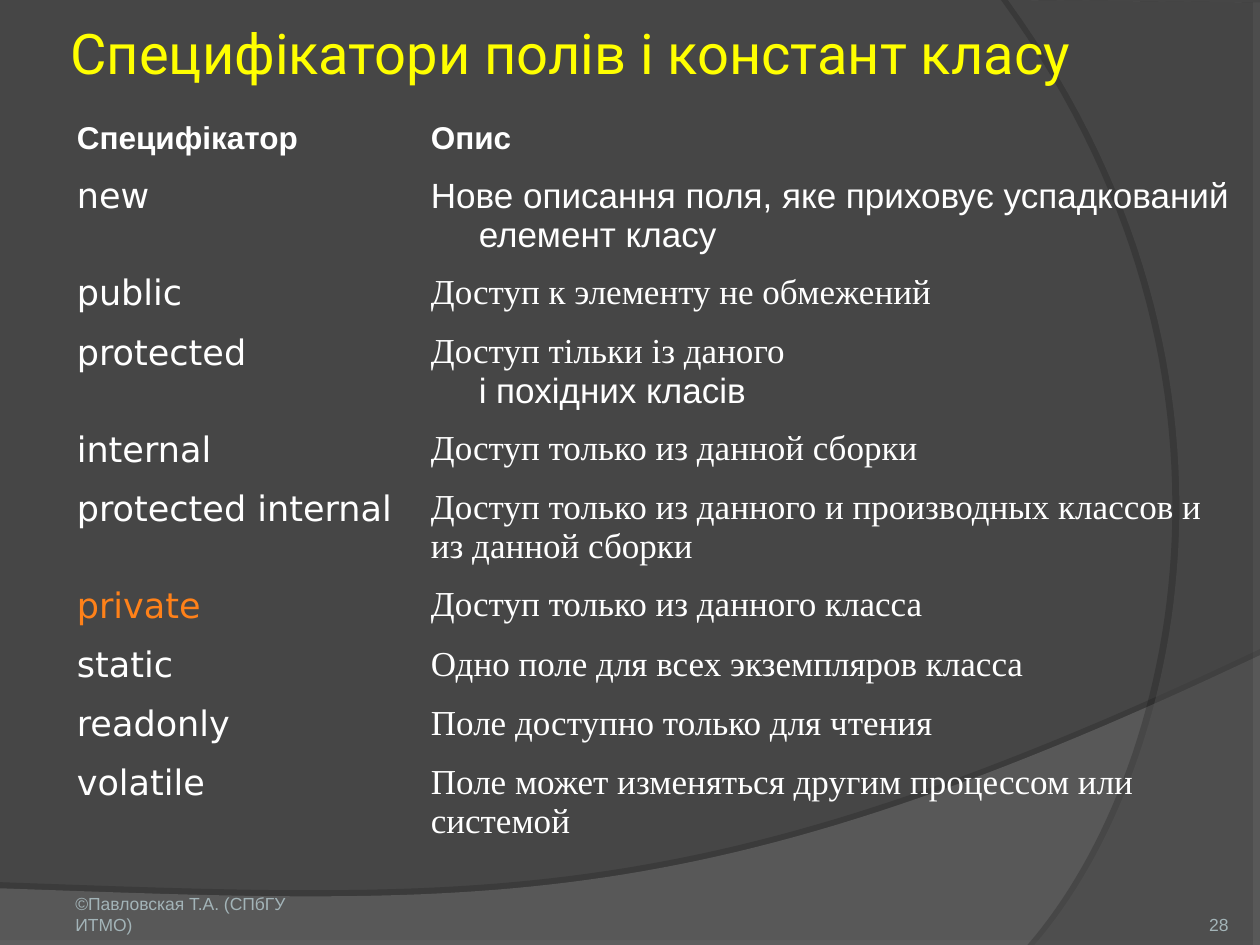
from lxml.etree import SubElement
from pptx import Presentation
from pptx.dml.color import RGBColor
from pptx.enum.text import MSO_ANCHOR as Anchor, PP_ALIGN as Align
from pptx.oxml.ns import qn
from pptx.util import Inches, Pt

NO_GRID_STYLE = "{2D5ABB26-0587-4C30-8999-92F81FD0307C}"
SANS, MONO, SERIF = "Arial", "DejaVu Sans", "Times New Roman"
WHITE, ORANGE, GRAY = "FFFFFF", "FF8119", "A3B4B8"
HANGING = 0.38
COLUMN_WIDTHS = [2.81, 6.55]
SINGLE_ROW, DOUBLE_ROW = 0.47, 0.77

ROWS = [
    ("new", [("Нове описання поля, яке приховує успадкований елемент класу", SANS)], DOUBLE_ROW, HANGING),
    ("public", [("Доступ к элементу не обмежений", SERIF)], SINGLE_ROW, HANGING),
    ("protected", [("Доступ тільки із даного ", SERIF), ("і похідних класів", SANS)], DOUBLE_ROW, HANGING),
    ("internal", [("Доступ только из данной сборки", SERIF)], SINGLE_ROW, HANGING),
    ("protected internal", [("Доступ только из данного и производных классов и из данной сборки", SERIF)],
     DOUBLE_ROW, 0),
    ("private", [("Доступ только из данного класса", SERIF)], SINGLE_ROW, HANGING),
    ("static", [("Одно поле для всех экземпляров класса", SERIF)], SINGLE_ROW, HANGING),
    ("readonly", [("Поле доступно только для чтения", SERIF)], SINGLE_ROW, HANGING),
    ("volatile", [("Поле может изменяться другим процессом или системой", SERIF)], DOUBLE_ROW, 0),
]


def color(value):
    return RGBColor.from_string(value)


def style_font(font, size, name, fill, bold=False):
    font.size, font.name, font.bold = Pt(size), name, bold
    font.color.rgb = color(fill)


def curve(start, control_1, control_2, end, steps=60):
    points = []
    for step in range(steps + 1):
        t = step / steps
        weights = ((1 - t) ** 3, 3 * t * (1 - t) ** 2, 3 * t ** 2 * (1 - t), t ** 3)
        pairs = zip(start, control_1, control_2, end)
        points.append(tuple(sum(w * p for w, p in zip(weights, axis)) for axis in pairs))
    return points


def add_alpha(color_element, percent):
    SubElement(color_element, qn("a:alpha"), val=str(percent * 1000))


def add_swoosh(slide, points, fill, opacity, shadow_opacity, distance, direction):
    start, *rest = [(Inches(x), Inches(y)) for x, y in points]
    builder = slide.shapes.build_freeform(*start)
    builder.add_line_segments(rest, close=True)
    shape = builder.convert_to_shape()
    shape.line.fill.background()
    shape.fill.solid()
    shape.fill.fore_color.rgb = color(fill)
    properties = shape._element.spPr
    add_alpha(properties.find(qn("a:solidFill"))[0], opacity)
    shape.shadow.inherit = False
    shadow = SubElement(properties.find(qn("a:effectLst")), qn("a:outerShdw"), blurRad="0",
                        dist=str(Pt(distance)), dir=str(direction * 60000), rotWithShape="0")
    add_alpha(SubElement(shadow, qn("a:srgbClr"), val="000000"), shadow_opacity)


def add_text(slide, text, box, insets, anchor, size, name, fill, align=Align.LEFT):
    frame = slide.shapes.add_textbox(*map(Inches, box)).text_frame
    frame.word_wrap = True
    frame.vertical_anchor = anchor
    frame.margin_left, frame.margin_top, frame.margin_right, frame.margin_bottom = map(Inches, insets)
    paragraph = frame.paragraphs[0]
    paragraph.text = text
    paragraph.alignment = align
    style_font(paragraph.font, size, name, fill)


def fill_cell(cell, lines, size, fill=WHITE, bold=False, hanging=HANGING):
    cell.fill.background()
    paragraph = cell.text_frame.paragraphs[0]
    properties = paragraph._p.get_or_add_pPr()
    properties.set("marL", str(Inches(hanging)))
    properties.set("indent", str(-Inches(hanging)))
    for index, (text, name) in enumerate(lines):
        if index:
            paragraph.add_line_break()
        run = paragraph.add_run()
        run.text = text
        style_font(run.font, size, name, fill, bold)
    style_font(paragraph.font, size, lines[-1][1], fill, bold)


def add_specifier_table(slide):
    heights = [0.44] + [row[2] for row in ROWS]
    table = slide.shapes.add_table(len(heights), 2, Inches(0.51), Inches(0.91),
                                   Inches(sum(COLUMN_WIDTHS)), Inches(sum(heights))).table
    table.first_row = table.horz_banding = False
    table._tbl.tblPr.find(qn("a:tableStyleId")).text = NO_GRID_STYLE
    for column, width in zip(table.columns, COLUMN_WIDTHS):
        column.width = Inches(width)
    for row, height in zip(table.rows, heights):
        row.height = Inches(height)
    for column, heading in enumerate(["Специфікатор", "Опис"]):
        fill_cell(table.cell(0, column), [(heading, SANS)], 18, bold=True)
    for index, (specifier, description, _, hanging) in enumerate(ROWS, 1):
        fill = ORANGE if specifier == "private" else WHITE
        fill_cell(table.cell(index, 0), [(specifier, MONO)], 20, fill)
        fill_cell(table.cell(index, 1), description, 20, hanging=hanging)


def main():
    presentation = Presentation()
    presentation.slide_width, presentation.slide_height = Inches(10), Inches(7.5)
    slide = presentation.slides.add_slide(presentation.slide_layouts[6])
    slide.background.fill.solid()
    slide.background.fill.fore_color.rgb = color("464646")

    bottom_edge = curve((10, 5.2), (5.59, 7.29), (3.91, 7.19), (0, 7.05))
    add_swoosh(slide, [(0, 7.51), (10, 7.51)] + bottom_edge, "7C7C7C", 45, 35, 3.5, 270)
    right_edge = curve((8.21, 7.5), (9.35, 6.19), (10.18, 3), (8, 0))
    add_swoosh(slide, [(10, 0.02), (10, 7.5)] + right_edge, "595959", 40, 45, 4, 180)

    add_text(slide, "©Павловская Т.А. (СПбГУ ИТМО)", (0.5, 7.02, 2.33, 0.4), (0.1, 0.05, 0.1, 0),
             Anchor.BOTTOM, 10, SANS, GRAY)
    add_text(slide, "28", (8.92, 7.02, 0.83, 0.4), (0, 0, 0, 0), Anchor.BOTTOM, 10, SANS, GRAY, Align.RIGHT)
    add_text(slide, "Специфікатори полів і констант класу", (0.51, 0.13, 9.37, 0.57), (0.05,) * 4,
             Anchor.MIDDLE, 32, "Roboto", "FFFF00")
    add_specifier_table(slide)
    presentation.save("out.pptx")


if __name__ == "__main__":
    main()
